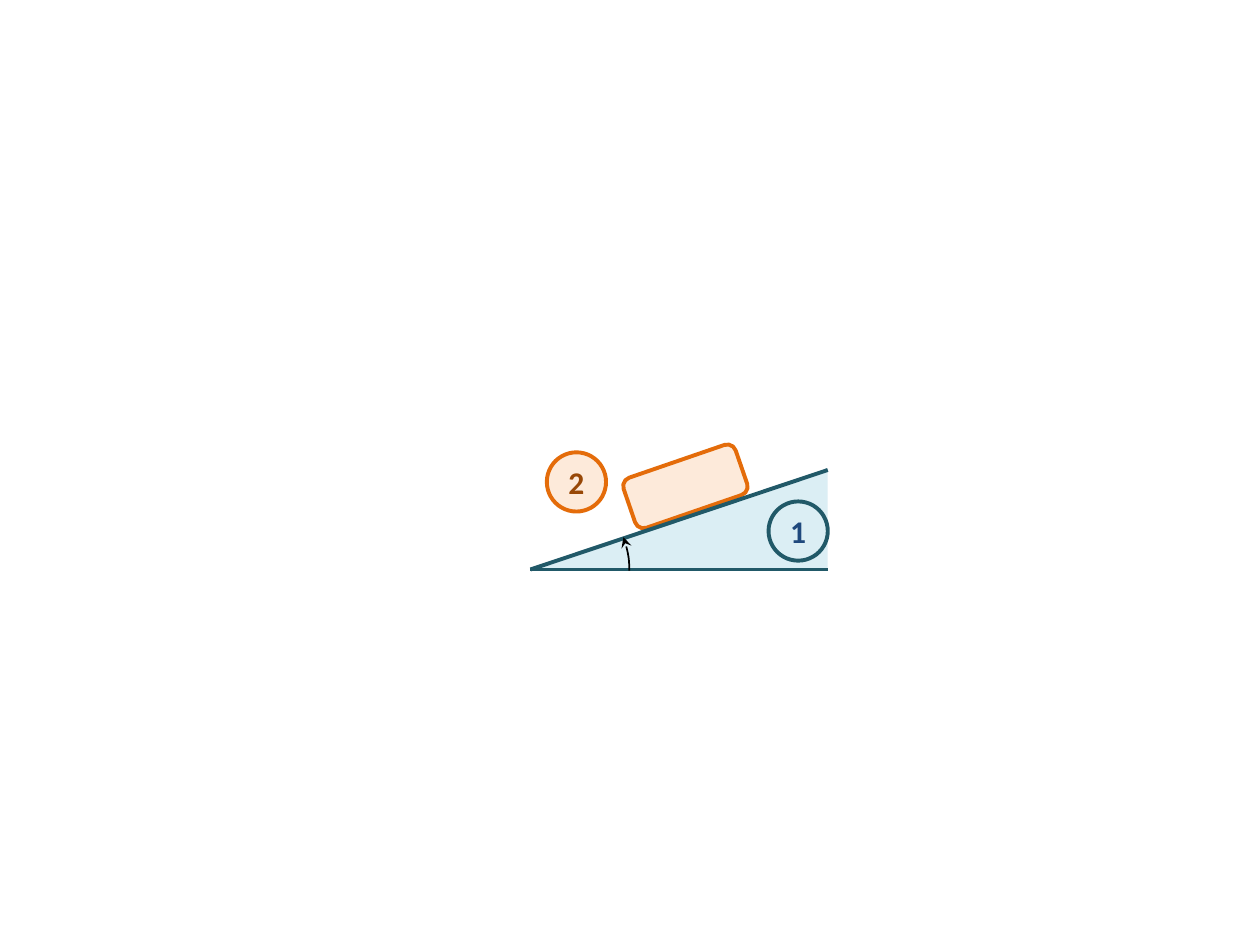
import pptx
import pptx.dml.color
import pptx.enum.shapes
import pptx.enum.text
import pptx.oxml
import pptx.oxml.ns
import pptx.util
from pptx.util import Inches

SHAPES = pptx.enum.shapes.MSO_SHAPE
PALE_BLUE, DARK_BLUE = "DBEEF4", "215968"
PALE_ORANGE, ORANGE = "FDEADA", "E46C0A"


def color(hex_value):
    return pptx.dml.color.RGBColor.from_string(hex_value)


def set_line(shape, line_color, width):
    shape.line.color.rgb = color(line_color)
    shape.line.width = pptx.util.Pt(width)


def add_shape(slide, kind, box, fill=None, line=None, width=2.25):
    shape = slide.shapes.add_shape(kind, *[Inches(value) for value in box])
    shape.shadow.inherit = False
    if fill:
        shape.fill.solid()
        shape.fill.fore_color.rgb = color(fill)
    else:
        shape.fill.background()
    if line:
        set_line(shape, line, width)
    else:
        shape.line.fill.background()
    return shape


def add_line(slide, start, end):
    points = [Inches(value) for value in (*start, *end)]
    connector = slide.shapes.add_connector(
        pptx.enum.shapes.MSO_CONNECTOR.STRAIGHT, *points)
    set_line(connector, DARK_BLUE, 2.25)
    connector.element.spPr.append(pptx.oxml.parse_xml(
        f'<a:effectLst {pptx.oxml.ns.nsdecls("a")}/>'))


def set_text(shape, text, size=18, font="Calibri", font_color="000000", bold=True):
    frame = shape.text_frame
    frame.margin_left = frame.margin_right = 0
    frame.margin_top = frame.margin_bottom = 0
    frame.vertical_anchor = pptx.enum.text.MSO_ANCHOR.MIDDLE
    paragraph = frame.paragraphs[0]
    paragraph.alignment = pptx.enum.text.PP_ALIGN.CENTER
    run = paragraph.add_run()
    run.text = text
    run.font.size = pptx.util.Pt(size)
    run.font.name = font
    run.font.bold = bold
    run.font.color.rgb = color(font_color)


def add_label(slide, left, top, text, fill, line, font_color):
    circle = add_shape(slide, SHAPES.OVAL, (left, top, 0.47, 0.47), fill, line)
    set_text(circle, text, font_color=font_color)


def add_angle(slide, center_x, center_y, radius):
    box = (center_x - radius, center_y - radius, 2 * radius, 2 * radius)
    arc = add_shape(slide, SHAPES.ARC, box, line="000000", width=1)
    arc.adjustments[0] = 204.11
    arc.adjustments[1] = 0
    outline = arc.element.spPr.find(pptx.oxml.ns.qn("a:ln"))
    outline.append(pptx.oxml.parse_xml(
        f'<a:headEnd {pptx.oxml.ns.nsdecls("a")} type="stealth"/>'))


def add_inclined_plane(slide, left, top, width, height):
    right, bottom = left + width, top + height

    block = add_shape(slide, SHAPES.ROUNDED_RECTANGLE,
                      (left + 0.76, top - 0.08, 0.94, 0.42), PALE_ORANGE, ORANGE)
    block.rotation = 341

    wedge = add_shape(slide, SHAPES.RIGHT_TRIANGLE,
                      (left, top, width, height), PALE_BLUE)
    wedge.element.spPr.xfrm.set("flipH", "1")

    add_line(slide, (left, bottom), (right, bottom))
    add_label(slide, left + 0.13, top - 0.14, "2", PALE_ORANGE, ORANGE, "984807")
    add_label(slide, right - 0.47, top + 0.25, "1", PALE_BLUE, DARK_BLUE, "1F497D")
    add_line(slide, (left, bottom), (right, top))
    add_angle(slide, left, bottom + 0.01, 0.785)


def main():
    presentation = pptx.Presentation()
    presentation.slide_width = Inches(10)
    presentation.slide_height = Inches(7.5)
    slide = presentation.slides.add_slide(presentation.slide_layouts[6])
    add_inclined_plane(slide, 4.21, 3.73, 2.36, 0.79)
    presentation.save("out.pptx")


if __name__ == "__main__":
    main()
